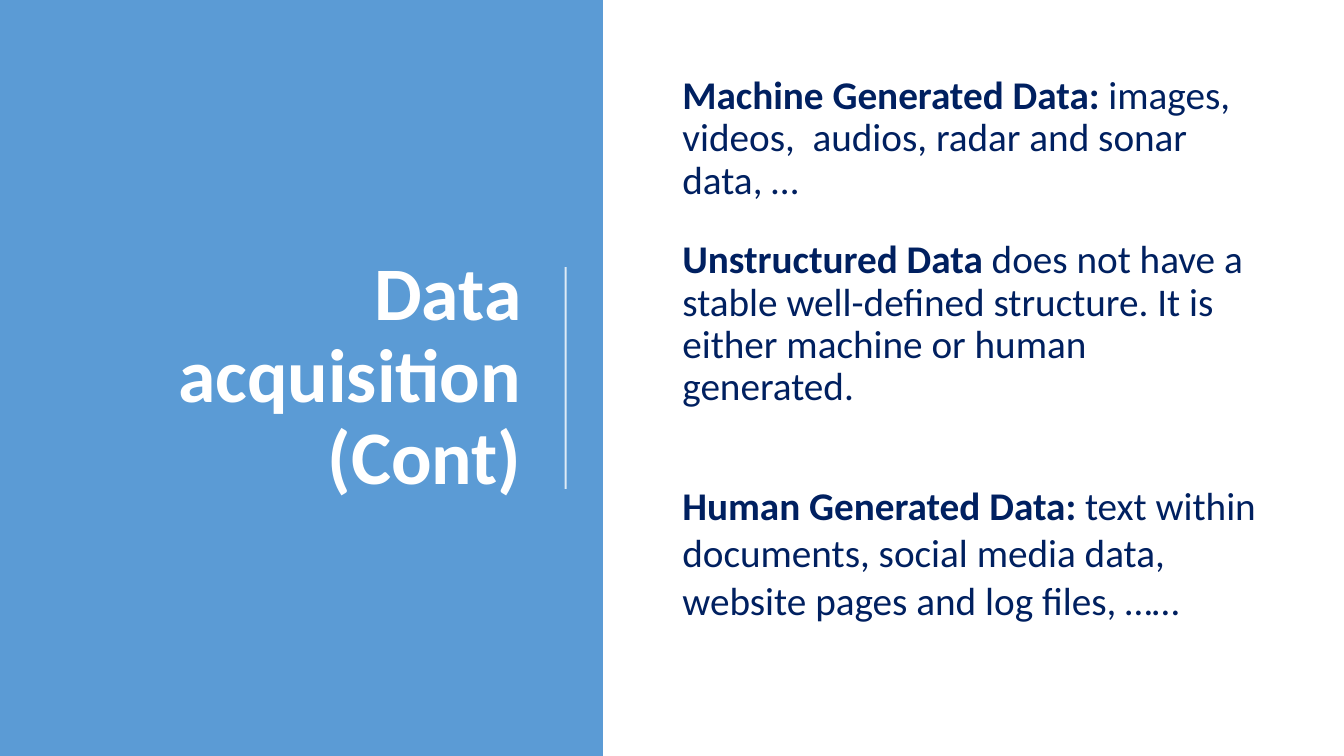
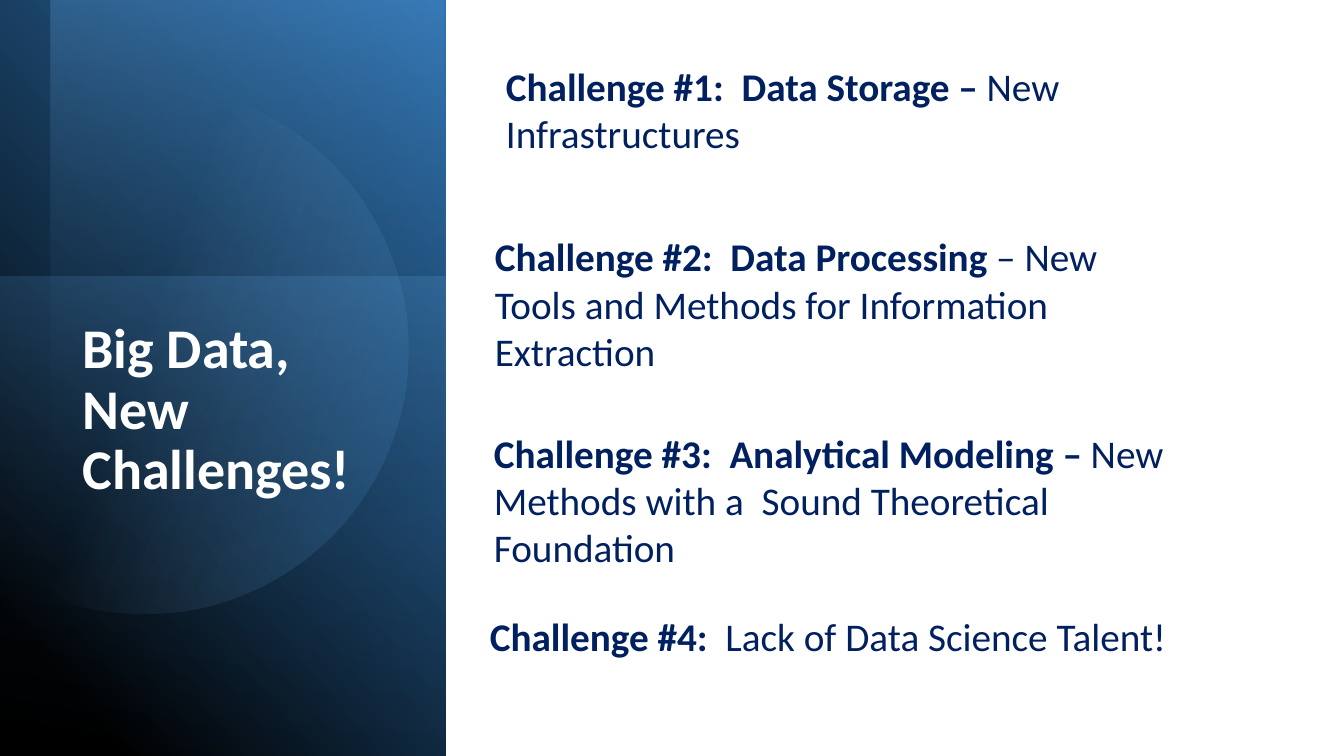
"""Build two lecture slides on data acquisition and big data challenges."""
import math
from dataclasses import dataclass

from lxml import etree
from pptx import Presentation
from pptx import util as u
from pptx.dml.color import RGBColor
from pptx.enum import shapes, text
from pptx.oxml.ns import qn


@dataclass(frozen=True)
class Theme:
    """Colours, font and type sizes shared by the slides."""
    font: str = "Calibri"
    white: str = "FFFFFF"
    black: str = "000000"
    navy: str = "002060"
    sky: str = "5B9BD5"
    pale: str = "9DC3E6"
    blue: str = "2E75B6"
    deep: str = "1F4E79"
    section_size: int = 54
    title_size: int = 40
    body_size: int = 28
    tight: float = 0.9
    paragraph_gap: int = 6


@dataclass(frozen=True)
class Box:
    """A region measured in inches."""
    left: float
    top: float
    width: float
    height: float

    def inner(self, left, top, width, height):
        """Return a box placed relative to this one."""
        return Box(self.left + left, self.top + top, width, height)

    def lengths(self):
        """Return the position and size as lengths."""
        return [u.Inches(value) for value in
                (self.left, self.top, self.width, self.height)]


THEME = Theme()
PAGE = Box(0, 0, 13.33, 7.5)

DATA_KINDS = [
    ((0.69, 0.7, 5.97, 1.55), "Machine Generated Data: ",
     "images, videos,  audios, radar and sonar data, …", THEME.tight),
    ((0.69, 2.33, 5.97, 2.33), "Unstructured Data ",
     "does not have a stable well-defined structure. "
     "It is either machine or human generated.", THEME.tight),
    ((0.69, 4.73, 6.24, 2.07), "Human Generated Data: ",
     "text within documents, social media data, "
     "website pages and log files, ……", 1.0),
]
CHALLENGES = [
    ((0.5, 0.57, 6.44, 1.04), "Challenge #1:  Data Storage – ",
     "New Infrastructures", 1.0),
    ((0.39, 2.26, 6.67, 1.51), "Challenge #2:  Data Processing ",
     "– New Tools and Methods for Information Extraction", 1.0),
    ((0.38, 4.21, 6.91, 1.51), "Challenge #3:  Analytical Modeling – ",
     "New Methods with a  Sound Theoretical Foundation", 1.0),
    ((0.34, 6.03, 7.31, 0.57), "Challenge #4:  ",
     "Lack of Data Science Talent!", 1.0),
]


def add_alpha(color, percent):
    """Give a colour element an opacity."""
    etree.SubElement(color, qn("a:alpha"), val=str(percent * 1000))


def fill_gradient(shape, stops, angle):
    """Fill a shape with (position, colour, opacity) stops along an angle."""
    shape.fill.background()
    gradient = etree.Element(qn("a:gradFill"), rotWithShape="1")
    stop_list = etree.SubElement(gradient, qn("a:gsLst"))
    for position, color, opacity in stops:
        stop = etree.SubElement(stop_list, qn("a:gs"), pos=str(position * 1000))
        add_alpha(etree.SubElement(stop, qn("a:srgbClr"), val=color), opacity)
    etree.SubElement(gradient, qn("a:lin"), ang=str(angle * 60000), scaled="0")
    properties = shape._element.spPr
    properties.replace(properties.find(qn("a:noFill")), gradient)


def add_rectangle(slide, box):
    """Add a plain rectangle without outline or shadow."""
    shape = slide.shapes.add_shape(shapes.MSO_SHAPE.RECTANGLE, *box.lengths())
    shape.shadow.inherit = False
    shape.line.fill.background()
    return shape


def add_disc(slide, box, center_x, center_y, radius):
    """Add a disc cut off at the left side of the box."""
    limit = math.acos(-center_x / radius)
    steps = 120
    angles = [limit * (2 * step / steps - 1) for step in range(steps + 1)]
    points = [(u.Inches(box.left + center_x + radius * math.cos(angle)),
               u.Inches(box.top + center_y + radius * math.sin(angle)))
              for angle in angles]
    builder = slide.shapes.build_freeform(*points[0])
    builder.add_line_segments(points[1:], close=True)
    shape = builder.convert_to_shape()
    shape.shadow.inherit = False
    shape.line.fill.background()
    return shape


def add_text(slide, box, pieces, size, color, spacing=1.0,
             align=text.PP_ALIGN.LEFT, anchor=text.MSO_ANCHOR.TOP):
    """Add one wrapped paragraph made of (words, bold) pieces."""
    frame = slide.shapes.add_textbox(*box.lengths()).text_frame
    frame.word_wrap = True
    frame.vertical_anchor = anchor
    paragraph = frame.paragraphs[0]
    paragraph.alignment = align
    paragraph.line_spacing = spacing
    paragraph.space_after = u.Pt(THEME.paragraph_gap)
    for words, bold in pieces:
        run = paragraph.add_run()
        run.text = words
        run.font.name = THEME.font
        run.font.size = u.Pt(size)
        run.font.bold = bold
        run.font.color.rgb = RGBColor.from_string(color)


def add_statements(slide, box, statements):
    """Place statements, each with a bold lead, in the box."""
    for place, lead, words, spacing in statements:
        add_text(slide, box.inner(*place), [(lead, True), (words, False)],
                 THEME.body_size, THEME.navy, spacing)


def add_section_panel(slide, box, title):
    """Draw the flat panel with a right-aligned title and a thin rule."""
    panel = add_rectangle(slide, box)
    panel.fill.solid()
    panel.fill.fore_color.rgb = RGBColor.from_string(THEME.sky)
    add_text(slide, box.inner(0.71, 0.7, 4.56, 6.1), [(title, True)],
             THEME.section_size, THEME.white, THEME.tight,
             text.PP_ALIGN.RIGHT, text.MSO_ANCHOR.MIDDLE)
    left, top, width, height = box.inner(5.61, 2.65, 0, 2.2).lengths()
    rule = slide.shapes.add_connector(
        shapes.MSO_CONNECTOR.STRAIGHT, left, top, left + width, top + height)
    rule.line.width = u.Pt(1.5)
    rule.line.color.rgb = RGBColor.from_string(THEME.white)
    properties = rule._element.spPr
    add_alpha(properties.find(".//" + qn("a:srgbClr")), 80)
    etree.SubElement(properties, qn("a:effectLst"))


def add_gradient_panel(slide, box, title):
    """Draw the layered gradient panel with its title."""
    fill_gradient(add_rectangle(slide, box),
                  [(11, THEME.black, 100), (100, THEME.blue, 100)], 320)
    fill_gradient(add_rectangle(slide, box.inner(0.5, 0, 3.9, 7.5)),
                  [(0, THEME.sky, 32), (70, THEME.black, 0)], 80)
    fill_gradient(add_disc(slide, box, 1.43, 3.47, 2.62),
                  [(39, THEME.pale, 0), (100, THEME.blue, 26)], 20)
    fill_gradient(add_rectangle(slide, box.inner(0, 2.74, box.width, 4.76)),
                  [(0, THEME.sky, 24), (100, THEME.deep, 0)], 100)
    add_text(slide, box.inner(0.72, 3.13, 3.33, 3.18), [(title, True)],
             THEME.title_size, THEME.white, THEME.tight)


def add_split_slide(presentation, panel_width, add_panel, title, statements):
    """Add a slide with a title panel on the left and statements on the right."""
    slide = presentation.slides.add_slide(presentation.slide_layouts[6])
    add_panel(slide, PAGE.inner(0, 0, panel_width, PAGE.height), title)
    content = PAGE.inner(panel_width, 0, PAGE.width - panel_width, PAGE.height)
    add_statements(slide, content, statements)


def main():
    """Build and save the presentation."""
    presentation = Presentation()
    presentation.slide_width = u.Inches(PAGE.width)
    presentation.slide_height = u.Inches(PAGE.height)
    add_split_slide(presentation, 5.98, add_section_panel,
                    "Data acquisition (Cont)", DATA_KINDS)
    add_split_slide(presentation, 4.42, add_gradient_panel,
                    "Big Data, New Challenges!", CHALLENGES)
    presentation.save("out.pptx")


if __name__ == "__main__":
    main()
